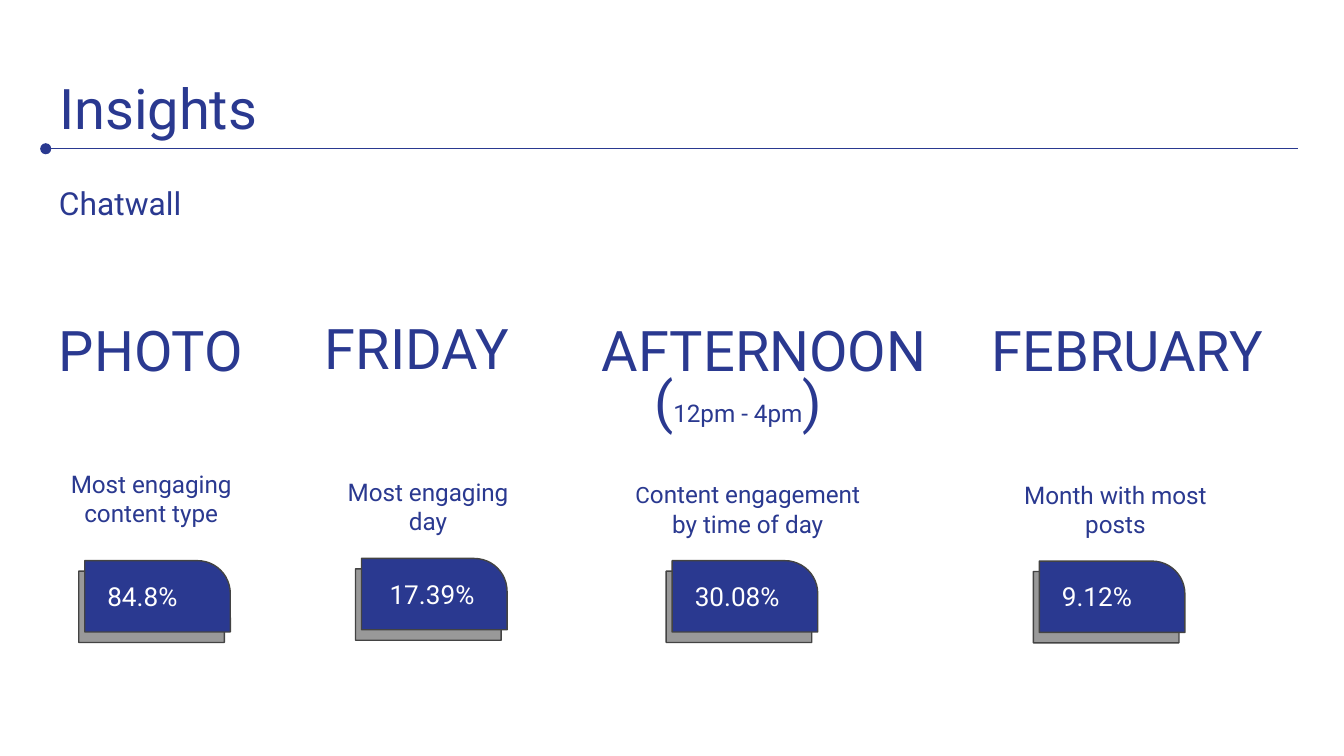
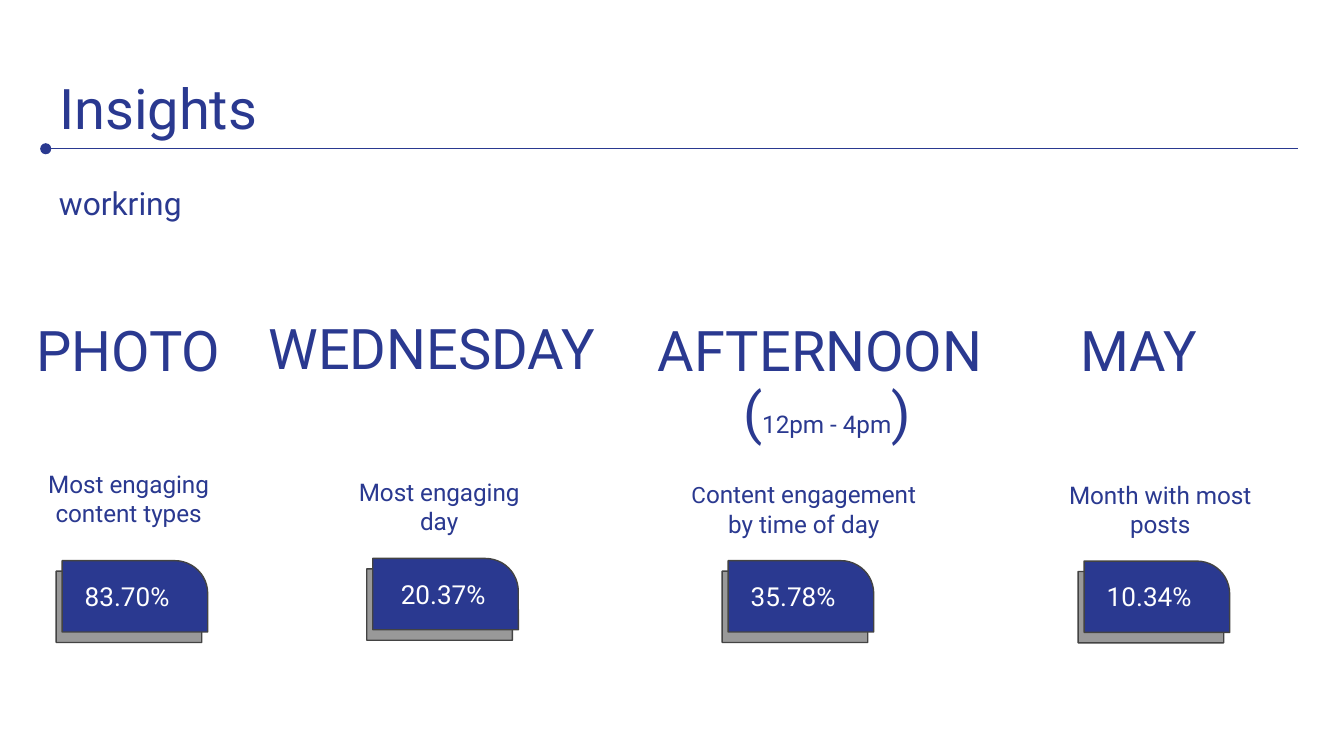
import pptx
import pptx.util
import pptx.dml.color
import pptx.enum.shapes
import pptx.enum.text
import pptx.oxml.ns
import lxml.etree
from collections import namedtuple

Pt = pptx.util.Pt
Color = pptx.dml.color.RGBColor
Align = pptx.enum.text.PP_ALIGN
Shape = pptx.enum.shapes.MSO_SHAPE
qn = pptx.oxml.ns.qn

BLUE = Color(0x2A, 0x39, 0x90)
GRAY = Color(0x99, 0x99, 0x99)
DARK = Color(0x43, 0x43, 0x43)
WHITE = Color(0xFF, 0xFF, 0xFF)
FONT = "Roboto"
LEFT, RIGHT, RULE = 24.5, 695.5, 79.7
CARD_W, CARD_H = 78, 38.2

Slot = namedtuple("Slot", "head_y cap_y cap_w card_x card_y rate_x")
SLOTS = [
    Slot(162, 244, 113, 20.9, 300.4, 5),
    Slot(160.6, 248.4, 113, 20.9, 299.2, 7.9),
    Slot(162, 249.8, 135.4, 27.3, 300.4, 5),
    Slot(162, 250.2, 135.4, 27, 300.6, 5),
]
Item = namedtuple("Item", "head head_x head_w cap cap_x rate")
TIME = [[("C", 12), ("ontent engagement by time of day", 13)]]
HOURS = [[("(", 30), ("12pm - 4pm", 13), (")", 30)]]
PAGES = [
    ("Chatwall", (343.4, 189.4), [
        Item("PHOTO", 24.5, 117, ["Most engaging", "content type"], 24.5, "84.8%"),
        Item("FRIDAY", 167, 157, ["Most engaging day"], 172.8, "17.39%"),
        Item("AFTERNOON", 315.4, 206, TIME, 332.8, "30.08%"),
        Item("FEBRUARY", 524.2, 206, ["Month with most posts"], 529.8, "9.12%"),
    ]),
    ("workring", (391, 195.2), [
        Item("PHOTO", 12.3, 117, ["Most engaging", "content types"], 12.4, "83.70%"),
        Item("WEDNESDAY", 136.8, 211, ["Most engaging day"], 178.8, "20.37%"),
        Item("AFTERNOON", 345.4, 206, TIME, 362.8, "35.78%"),
        Item("MAY", 571.8, 206, ["Month with most posts"], 553.8, "10.34%"),
    ]),
]


def style(font, size, color):
    font.name = FONT
    font.size = Pt(size)
    font.color.rgb = color


def write(shape, lines, size, color=BLUE, align=Align.LEFT):
    frame = shape.text_frame
    frame.word_wrap = True
    frame.auto_size = pptx.enum.text.MSO_AUTO_SIZE.NONE
    frame.vertical_anchor = pptx.enum.text.MSO_ANCHOR.TOP
    frame.margin_left = frame.margin_right = Pt(7.2)
    frame.margin_top = frame.margin_bottom = Pt(7.2)
    for num, line in enumerate(lines):
        para = frame.add_paragraph() if num else frame.paragraphs[0]
        para.alignment = align
        style(para.font, size, color)
        if isinstance(line, str):
            para.add_run().text = line
            continue
        for text, points in line:
            run = para.add_run()
            run.text = text
            style(run.font, points, color)


def label(slide, box, lines, size, color=BLUE, align=Align.LEFT):
    shape = slide.shapes.add_textbox(*map(Pt, box))
    write(shape, lines, size, color, align)


def title(slide, text):
    shape = slide.shapes.title
    shape.left, shape.top = Pt(LEFT), Pt(32.4)
    shape.width, shape.height = Pt(RIGHT - LEFT), Pt(47.3)
    write(shape, [text], 30)


def rule(slide):
    line = slide.shapes.add_connector(
        pptx.enum.shapes.MSO_CONNECTOR.STRAIGHT,
        Pt(LEFT), Pt(RULE), Pt(RIGHT), Pt(RULE))
    line.line.color.rgb = BLUE
    line.line.width = Pt(0.75)
    props = line._element.spPr
    lxml.etree.SubElement(props.find(qn("a:ln")), qn("a:headEnd"), type="oval")
    lxml.etree.SubElement(props, qn("a:effectLst"))


def card(slide, x, y):
    group = slide.shapes.add_group_shape()
    for left, top, fill in ((x - 3.2, y + 5.6, GRAY), (x, y, BLUE)):
        shape = group.shapes.add_shape(
            Shape.ROUND_1_RECTANGLE,
            Pt(left), Pt(top), Pt(CARD_W), Pt(CARD_H))
        shape.adjustments[0] = 0.46
        shape.shadow.inherit = False
        shape.fill.solid()
        shape.fill.fore_color.rgb = fill
        shape.line.color.rgb = DARK
        shape.line.width = Pt(0.75)


def column(slide, slot, item):
    x = item.cap_x + slot.card_x
    card(slide, x, slot.card_y)
    label(slide, (item.cap_x, slot.cap_y, slot.cap_w, 42.5), item.cap, 13,
          align=Align.CENTER)
    label(slide, (item.head_x, slot.head_y, item.head_w, 42.5), [item.head], 30)
    label(slide, (x + slot.rate_x, slot.card_y + 3.4, 61.2, 28), [item.rate],
          14, WHITE)


def main():
    deck = pptx.Presentation()
    deck.slide_width, deck.slide_height = Pt(720), Pt(405)
    for name, spot, items in PAGES:
        slide = deck.slides.add_slide(deck.slide_layouts[5])
        title(slide, "Insights")
        rule(slide)
        label(slide, (LEFT, 91.4, 107.3, 47.5), [name], 17)
        for slot, item in zip(SLOTS, items):
            column(slide, slot, item)
        label(slide, (*spot, 113, 37.4), HOURS, 30)
    deck.save("out.pptx")


if __name__ == "__main__":
    main()
